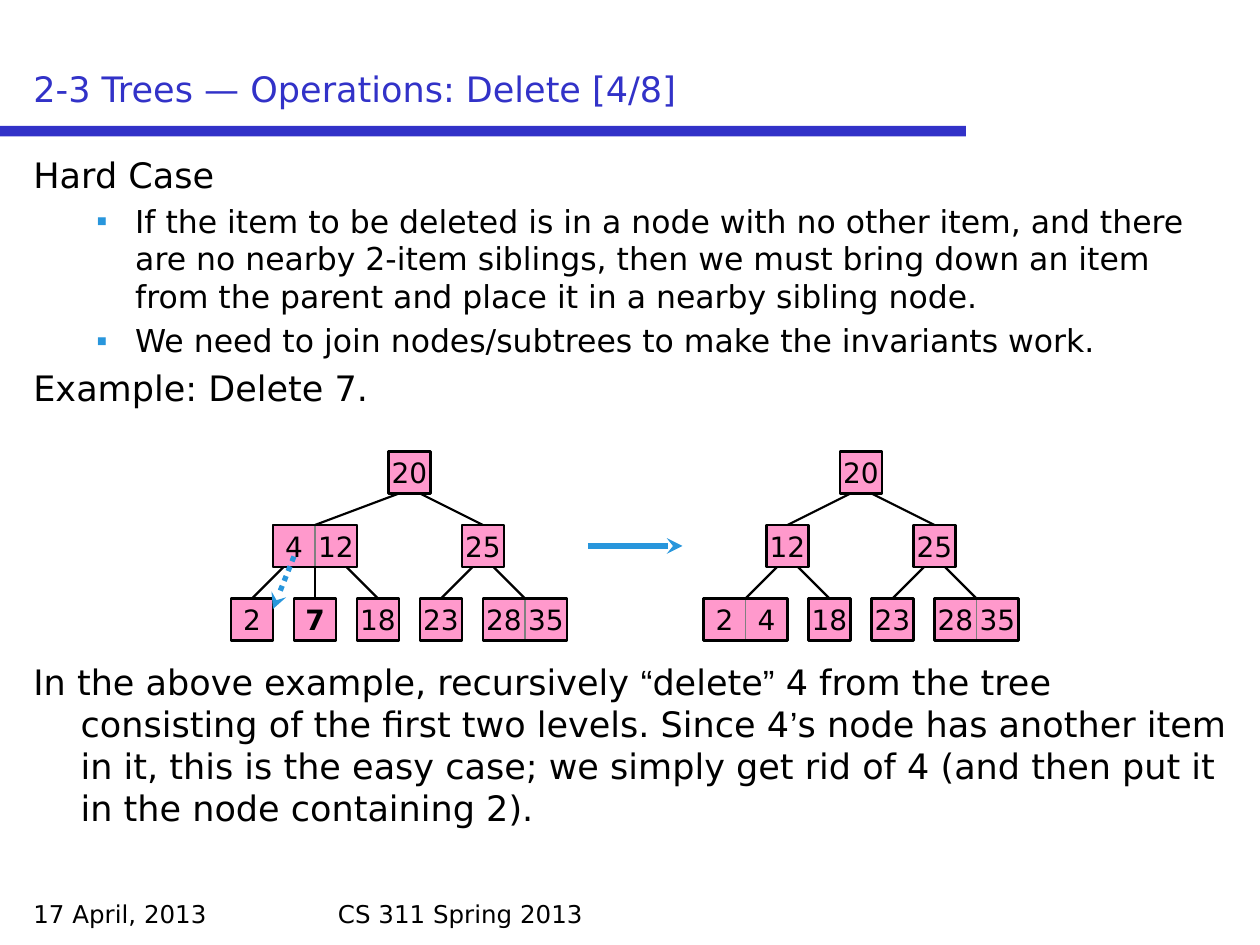
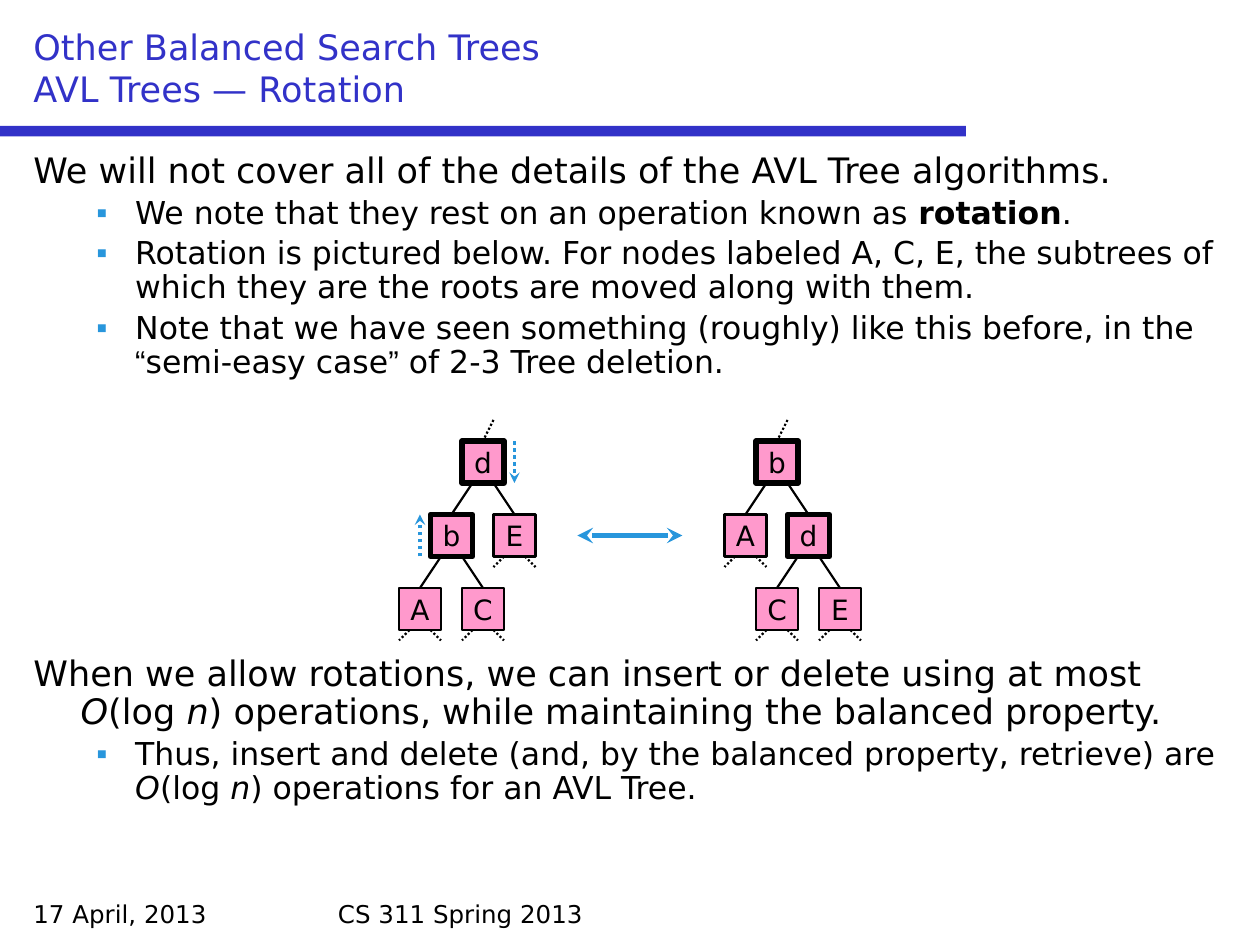
from lxml import etree
from pptx import Presentation
from pptx.dml.color import RGBColor
from pptx.enum.dml import MSO_LINE
from pptx.enum.shapes import MSO_CONNECTOR, MSO_SHAPE
from pptx.enum.text import MSO_ANCHOR as ANCHOR, PP_ALIGN as ALIGN
from pptx.oxml import parse_xml
from pptx.oxml.ns import nsdecls, qn
from pptx.util import Pt

PX = 7620  # 120 px to the inch
COLORS = {"title": "3232C8", "accent": "2896DC", "node": "FF99CC",
          "text": "000000", "divider": "808080"}
RGB = {name: RGBColor.from_string(value) for name, value in COLORS.items()}
FONT, QUOTE_FONT = "DejaVu Sans", "Arial"
NODE, LEVEL_STEP, INSET = 40, 70, 10


def write(sp, paragraphs, size=20, color="text", anchor=ANCHOR.TOP, align=ALIGN.LEFT,
          wrap=True, spacing=None, body=False):
    """Each paragraph is (level, space before, runs); a run is text or (text, style)."""
    tf = sp.text_frame
    tf.word_wrap, tf.vertical_anchor = wrap, anchor
    for i, (level, before, runs) in enumerate(paragraphs):
        p = tf.add_paragraph() if i else tf.paragraphs[0]
        p.alignment, p.level = align, level
        if body:
            pPr = p._p.get_or_add_pPr()
            margin, indent = ((45, -45), (97, -37))[level]
            pPr.set("marL", str(margin * PX))
            pPr.set("indent", str(indent * PX))
            if level:
                for xml in (f'<a:buClr {nsdecls("a")}><a:srgbClr val="{COLORS["accent"]}"/></a:buClr>',
                            f'<a:buFont {nsdecls("a")} typeface="{QUOTE_FONT}"/>',
                            f'<a:buChar {nsdecls("a")} char="▪"/>'):
                    pPr.append(parse_xml(xml))
        if i:
            p.space_before = Pt(before)
        if spacing:
            p.line_spacing = spacing
        for run in runs:
            text, style = run if isinstance(run, tuple) else (run, "")
            if text == "\n":
                p.add_line_break()
                continue
            r = p.add_run()
            r.text = text
            r.font.name = QUOTE_FONT if text in "“”’" else FONT
            r.font.size = Pt(size - 2 * level)
            r.font.color.rgb = RGB[color]
            r.font.bold, r.font.italic = style == "b", style == "i"


def line(slide, x1, y1, x2, y2, color="text", width=1.25, dotted=False, arrows=()):
    c = slide.shapes.add_connector(MSO_CONNECTOR.STRAIGHT, *(round(v * PX) for v in (x1, y1, x2, y2)))
    c.line.color.rgb, c.line.width = RGB[color], Pt(width)
    if dotted:
        c.line.dash_style = MSO_LINE.ROUND_DOT
    ln = c.line._get_or_add_ln()
    for end in arrows:
        etree.SubElement(ln, qn(f"a:{end}")).set("type", "stealth")
    etree.SubElement(c._element.spPr, qn("a:effectLst"))
    return c


# Tree nodes: items, x, level, parent index, border width
DELETE_BEFORE = [("20", 370, 0, None, 1.25), ("4|12", 260, 1, 0, 1.25), ("25", 440, 1, 0, 1.25),
                 ("2", 220, 2, 1, 1.25), ("7", 280, 2, 1, 1.25), ("18", 340, 2, 1, 1.25),
                 ("23", 400, 2, 2, 1.25), ("28|35", 460, 2, 2, 1.25)]
DELETE_AFTER = [("20", 800, 0, None, 1.25), ("12", 730, 1, 0, 1.25), ("25", 870, 1, 0, 1.25),
                ("2|4", 670, 2, 1, 1.25), ("18", 770, 2, 1, 1.25),
                ("23", 830, 2, 2, 1.25), ("28|35", 890, 2, 2, 1.25)]
ROTATE_LEFT = [("d", 440, 0, None, 3), ("b", 410, 1, 0, 3), ("E", 470, 1, 0, 1.25),
               ("A", 380, 2, 1, 1.25), ("C", 440, 2, 1, 1.25)]
ROTATE_RIGHT = [("b", 720, 0, None, 3), ("A", 690, 1, 0, 1.25), ("d", 750, 1, 0, 3),
                ("C", 720, 2, 2, 1.25), ("E", 780, 2, 2, 1.25)]
LOG_N = [("O", "i"), "(log ", ("n", "i")]

SLIDES = [
    dict(title=["2-3 Trees — Operations: Delete [4/8]"], spacing=None, body=[
        (0, 0, ["Hard Case"]),
        (1, 3.6, ["If the item to be deleted is in a node with no other item, and there are no nearby "
                  "2-item siblings, then we must bring down an item from the parent and place it in "
                  "a nearby sibling node."]),
        (1, 3.6, ["We need to join nodes/subtrees to make the invariants work."]),
        (0, 4, ["Example: Delete 7."]),
        (0, 144, ["In the above example, recursively ", "“", "delete", "”",
                  " 4 from the tree consisting of the first two levels. Since 4", "’",
                  "s node has another item in it, this is the easy case; we simply get rid of 4 "
                  "(and then put it in the node containing 2)."])],
         trees=[DELETE_BEFORE, DELETE_AFTER], tree_top=430, stubs=False, bold="7",
         arrows=[((280, 530, 260, 580), 3, True, ["tailEnd"]),
                 ((560, 520, 650, 520), 3, False, ["tailEnd"])]),
    dict(title=["Other Balanced Search Trees", "\n", "AVL Trees — Rotation"], spacing=0.9, body=[
        (0, 0, ["We will not cover all of the details of the AVL Tree algorithms."]),
        (1, 3.6, ["We note that they rest on an operation known as ", ("rotation", "b"), "."]),
        (1, 3.6, ["Rotation is pictured below. For nodes labeled A, C, E, the subtrees of which "
                  "they are the roots are moved along with them."]),
        (1, 3.6, ["Note that we have seen something (roughly) like this before, in the ",
                  "“", "semi-easy case", "”", " of 2-3 Tree deletion."]),
        (0, 158, ["When we allow rotations, we can insert or delete using at most ", *LOG_N,
                  ") operations, while maintaining the balanced property."]),
        (1, 3.6, ["Thus, insert and delete (and, by the balanced property, retrieve) are", "\n",
                  *LOG_N, ") operations for an AVL Tree."])],
         trees=[ROTATE_LEFT, ROTATE_RIGHT], tree_top=420, stubs=True, bold=None,
         arrows=[((550, 510, 650, 510), 3, False, ["headEnd", "tailEnd"]),
                 ((400, 530, 400, 490), 2, True, ["tailEnd"]),
                 ((490, 420, 490, 460), 2, True, ["tailEnd"])]),
]

prs = Presentation()
prs.slide_width, prs.slide_height = 1200 * PX, 900 * PX

for page in SLIDES:
    s = prs.slides.add_slide(prs.slide_layouts[6])

    # Band under the title
    band = s.shapes.add_shape(MSO_SHAPE.RECTANGLE, 0, 120 * PX, 920 * PX, 10 * PX)
    band.shadow.inherit = False
    band.fill.solid()
    band.fill.fore_color.rgb = RGB["title"]
    band.line.fill.background()

    # Footers, title and body text
    for box, paragraphs, fmt in [
        ((20, 850, 280, 40), [(0, 0, ["17 April, 2013"])], dict(size=14)),
        ((310, 850, 580, 40), [(0, 0, ["CS 311 Spring 2013"])], dict(size=14)),
        ((20, 20, 1160, 90), [(0, 0, page["title"])], dict(color="title", anchor=ANCHOR.BOTTOM)),
        ((20, 140, 1160, 700), page["body"], dict(spacing=page["spacing"], body=True)),
    ]:
        write(s.shapes.add_textbox(*(v * PX for v in box)), paragraphs, **fmt)

    for tree in page["trees"]:
        # Nodes: one cell per item, with an outline around several
        nodes = []
        for label, x, level, parent, border in tree:
            items = label.split("|")
            y, w = page["tree_top"] + level * LEVEL_STEP, NODE * len(items)
            rects = [(item, x + i * NODE, NODE) for i, item in enumerate(items)]
            if len(items) > 1:
                rects.append((None, x, w))
            for item, left, width in rects:
                sp = s.shapes.add_shape(MSO_SHAPE.RECTANGLE, left * PX, y * PX, width * PX, NODE * PX)
                sp.shadow.inherit = False
                divided = item and len(items) > 1
                sp.line.color.rgb = RGB["divider" if divided else "text"]
                sp.line.width = Pt(0.75 if divided else border)
                if item:
                    sp.fill.solid()
                    sp.fill.fore_color.rgb = RGB["node"]
                    style = "b" if item == page["bold"] else ""
                    write(sp, [(0, 0, [(item, style)])], size=16, anchor=ANCHOR.MIDDLE,
                          align=ALIGN.CENTER, wrap=False)
                else:
                    sp.fill.background()
            nodes.append((sp, x, y, w))

        # Edges spread evenly along the parent's bottom side
        for n, (parent, x, y, w) in enumerate(nodes):
            bottom = y + NODE
            kids = [nodes[k] for k, node in enumerate(tree) if node[3] == n]
            for i, (kid, kid_x, kid_y, kid_w) in enumerate(kids):
                start = x + INSET + i * (w - 2 * INSET) / (len(kids) - 1)
                c = line(s, start, bottom, kid_x + kid_w / 2, kid_y)
                if start == x + w / 2:
                    c.begin_connect(parent, 2)
                c.end_connect(kid, 0)
            # Dotted stubs towards the rest of the tree
            if page["stubs"] and n == 0:
                line(s, x + 30, y - 20, x + w / 2, y, dotted=True).end_connect(parent, 0)
            if page["stubs"] and not kids:
                line(s, x + INSET, bottom, x, bottom + INSET, dotted=True)
                line(s, x + w - INSET, bottom, x + w, bottom + INSET, dotted=True)

    # Blue arrows
    for ends, width, dotted, heads in page["arrows"]:
        line(s, *ends, color="accent", width=width, dotted=dotted, arrows=heads)

prs.save("out.pptx")
